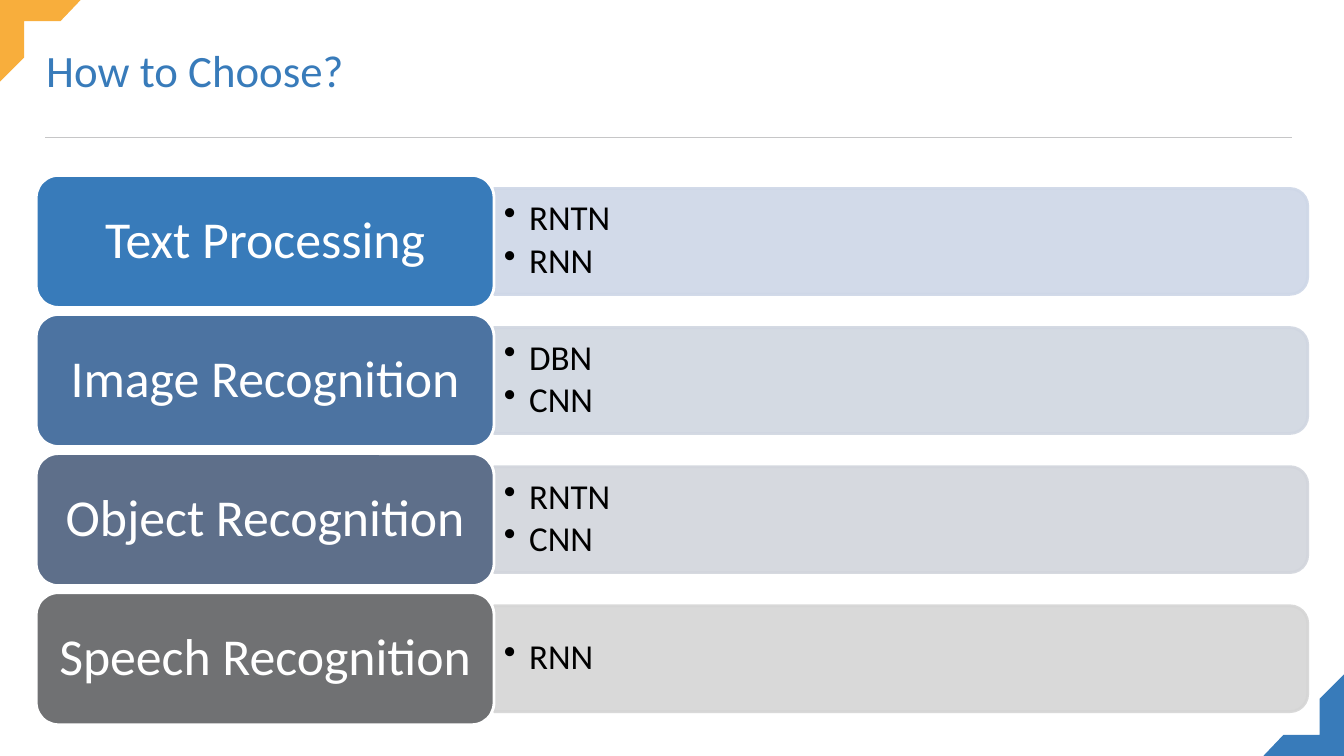
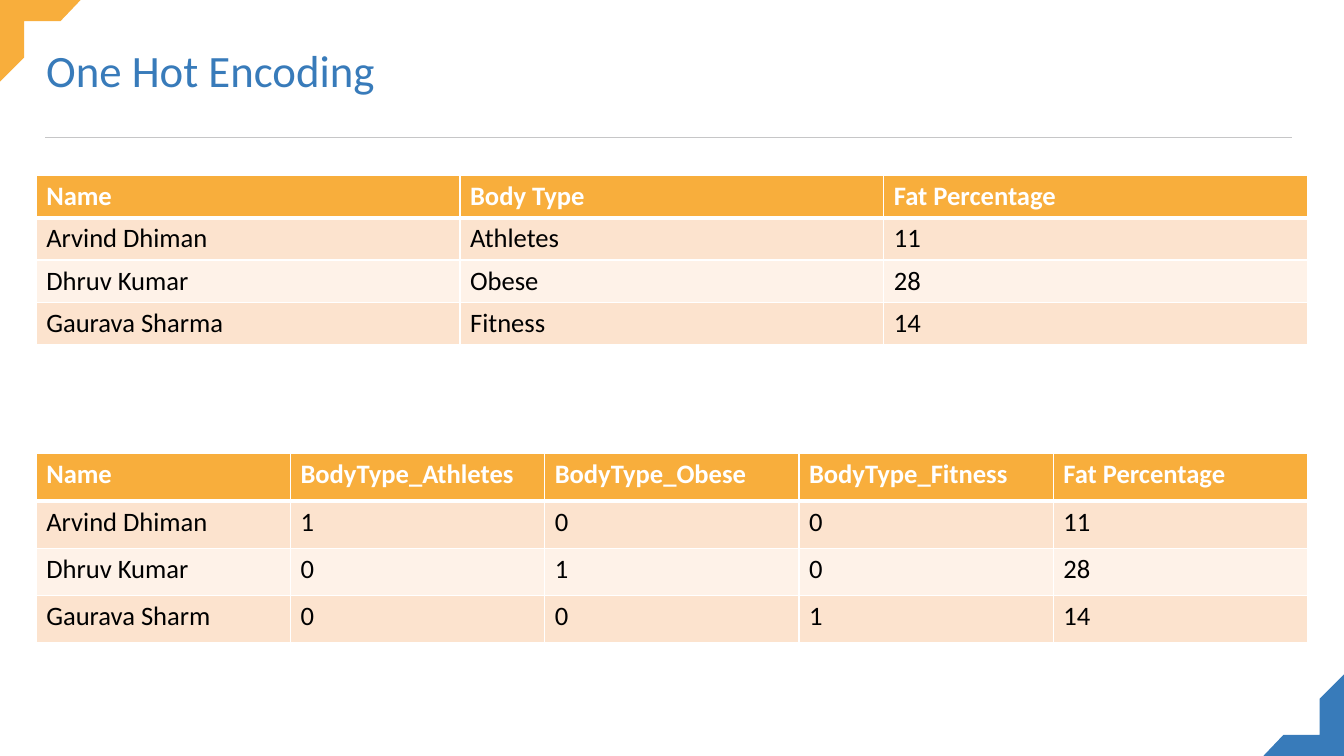
from lxml import etree
from pptx import Presentation
from pptx.dml.color import RGBColor
from pptx.enum.shapes import MSO_CONNECTOR, MSO_SHAPE
from pptx.enum.text import MSO_ANCHOR, PP_ALIGN
from pptx.oxml.ns import qn
from pptx.util import Inches, Pt

STRAIGHT = MSO_CONNECTOR.STRAIGHT
ROUND_RECT = MSO_SHAPE.ROUNDED_RECTANGLE
ROUND_END = MSO_SHAPE.ROUND_2_SAME_RECTANGLE
MIDDLE = MSO_ANCHOR.MIDDLE
LEFT, CENTER = PP_ALIGN.LEFT, PP_ALIGN.CENTER

FONT = "Calibri"
WIDTH, HEIGHT = 13.33, 7.5
ORANGE, BLUE, GREY = "F8AE3C", "387BBA", "C6C6C7"
WHITE, BLACK = "FFFFFF", "000000"
ROW_FILLS = ("FCE3CE", "FEF2E8")
MARGIN, TOP = 0.36, 1.74
CORNER = [(0, 0), (0.8, 0), (0.6, 0.21), (0.24, 0.21), (0.24, 0.57), (0, 0.81)]

# label, label colour, bar colour, choices
CHOICES = [
    ("Text Processing", BLUE, "CED7E7", ["RNTN", "RNN"]),
    ("Image Recognition", "4C73A1", "D0D6E1", ["DBN", "CNN"]),
    ("Object Recognition", "5E6F8A", "D2D5DC", ["RNTN", "CNN"]),
    ("Speech Recognition", "707173", "D5D5D5", ["RNN"]),
]
PEOPLE = [
    ["Name", "Body Type", "Fat Percentage"],
    ["Arvind Dhiman", "Athletes", "11"],
    ["Dhruv Kumar", "Obese", "28"],
    ["Gaurava Sharma", "Fitness", "14"],
]
ENCODED = [
    ["Name", "BodyType_Athletes", "BodyType_Obese", "BodyType_Fitness", "Fat Percentage"],
    ["Arvind Dhiman", "1", "0", "0", "11"],
    ["Dhruv Kumar", "0", "1", "0", "28"],
    ["Gaurava Sharm", "0", "0", "1", "14"],
]


def rgb(color):
    return RGBColor.from_string(color)


def box(x, y, w, h):
    return Inches(x), Inches(y), Inches(w), Inches(h)


def write(tf, lines, size, color, bold=False, align=LEFT, spacing=1.0, after=0, bullet=False):
    """Fill a text frame with one paragraph per line."""
    tf.word_wrap = True
    for i, line in enumerate(lines):
        p = tf.paragraphs[0] if i == 0 else tf.add_paragraph()
        if bullet:
            pPr = p._p.get_or_add_pPr()
            pPr.set("marL", str(Inches(0.25)))
            pPr.set("indent", str(Inches(-0.25)))
            etree.SubElement(pPr, qn("a:buChar"), char="•")
        p.alignment = align
        p.line_spacing = spacing
        p.space_after = Pt(after)
        r = p.add_run()
        r.text = line
        r.font.name, r.font.size, r.font.bold = FONT, Pt(size), bold
        r.font.color.rgb = rgb(color)


def add_text(s, x, y, w, h, lines, **fmt):
    tf = s.shapes.add_textbox(*box(x, y, w, h)).text_frame
    tf.vertical_anchor = MIDDLE
    write(tf, lines, **fmt)


def add_block(s, kind, x, y, w, h, fill, line):
    sp = s.shapes.add_shape(kind, *box(x, y, w, h))
    sp.shadow.inherit = False
    sp.fill.solid()
    sp.fill.fore_color.rgb = rgb(fill)
    sp.line.color.rgb = rgb(line)
    sp.line.width = Pt(2)
    return sp


def add_corner(s, points, color):
    pts = [(Inches(x), Inches(y)) for x, y in points]
    fb = s.shapes.build_freeform(*pts[0])
    fb.add_line_segments(pts[1:], close=True)
    sp = fb.convert_to_shape()
    sp.shadow.inherit = False
    sp.fill.solid()
    sp.fill.fore_color.rgb = rgb(color)
    sp.line.fill.background()


def add_slide(prs, title):
    """Slide with the shared corners, rule and title."""
    s = prs.slides.add_slide(prs.slide_layouts[6])
    s.background.fill.solid()
    s.background.fill.fore_color.rgb = rgb(WHITE)
    rule = s.shapes.add_connector(STRAIGHT, Inches(0.45), Inches(1.36), Inches(12.81), Inches(1.36))
    rule.line.color.rgb = rgb(GREY)
    rule.line.width = Pt(0.5)
    etree.SubElement(rule._element.spPr, qn("a:effectLst"))
    add_corner(s, CORNER, ORANGE)
    add_corner(s, [(WIDTH - x, HEIGHT - y) for x, y in CORNER], BLUE)
    add_text(s, MARGIN, 0.33, 12.62, 0.85, [title], size=32, color=BLUE, spacing=0.7)
    return s


def add_choice(s, y, label, label_fill, bar_fill, items):
    """Label at the left with a bar of bulleted choices beside it."""
    label_w, label_h, bar_w, bar_h = 4.54, 1.31, 8.07, 1.05
    bar_x, mid = MARGIN + label_w, y + label_h / 2
    # The bar is a quarter turn of a shape with two round top corners
    bar = add_block(s, ROUND_END, bar_x + (bar_w - bar_h) / 2, mid - bar_w / 2,
                    bar_h, bar_w, bar_fill, bar_fill)
    bar.rotation = 90
    for clr in bar._element.spPr.iter(qn("a:srgbClr")):
        etree.SubElement(clr, qn("a:alpha"), val="90000")
    add_text(s, bar_x, mid - 0.48, 8.02, 0.95, items, size=25, color=BLACK,
             spacing=0.9, after=3.5, bullet=True)
    sp = add_block(s, ROUND_RECT, MARGIN, y, label_w, label_h, label_fill, WHITE)
    sp.text_frame.vertical_anchor = MIDDLE
    write(sp.text_frame, [label], size=37, color=WHITE, align=CENTER, spacing=0.9)


def set_borders(cell, top, bottom):
    tcPr = cell._tc.get_or_add_tcPr()
    sides = (("lnL", 1), ("lnR", 1), ("lnT", top), ("lnB", bottom))
    for i, (side, width) in enumerate(sides):
        ln = etree.Element(qn(f"a:{side}"), w=str(Pt(width)))
        fill = etree.SubElement(ln, qn("a:solidFill"))
        etree.SubElement(fill, qn("a:srgbClr"), val=WHITE)
        tcPr.insert(i, ln)


def add_grid(s, y, row_h, rows):
    """Table with an orange header and alternating row fills."""
    n = len(rows[0])
    table = s.shapes.add_table(len(rows), n, *box(MARGIN, y, 12.61, row_h * len(rows))).table
    for col in table.columns:
        col.width = Inches(12.61 / n)
    for i, row in enumerate(rows):
        table.rows[i].height = Inches(row_h)
        header = i == 0
        for j, text in enumerate(row):
            cell = table.cell(i, j)
            cell.fill.solid()
            cell.fill.fore_color.rgb = rgb(ORANGE if header else ROW_FILLS[(i - 1) % 2])
            set_borders(cell, top=3 if i == 1 else 1, bottom=3 if header else 1)
            write(cell.text_frame, [text], size=19, color=WHITE if header else BLACK, bold=header)


def main():
    prs = Presentation()
    prs.slide_width, prs.slide_height = Inches(WIDTH), Inches(HEIGHT)

    # Choices by task
    s = add_slide(prs, "How to Choose?")
    for i, choice in enumerate(CHOICES):
        add_choice(s, TOP + 1.38 * i, *choice)

    # Tables before and after encoding
    s = add_slide(prs, "One Hot Encoding")
    add_grid(s, TOP, 0.42, PEOPLE)
    add_grid(s, 4.5, 0.47, ENCODED)

    prs.save("out.pptx")


if __name__ == "__main__":
    main()
